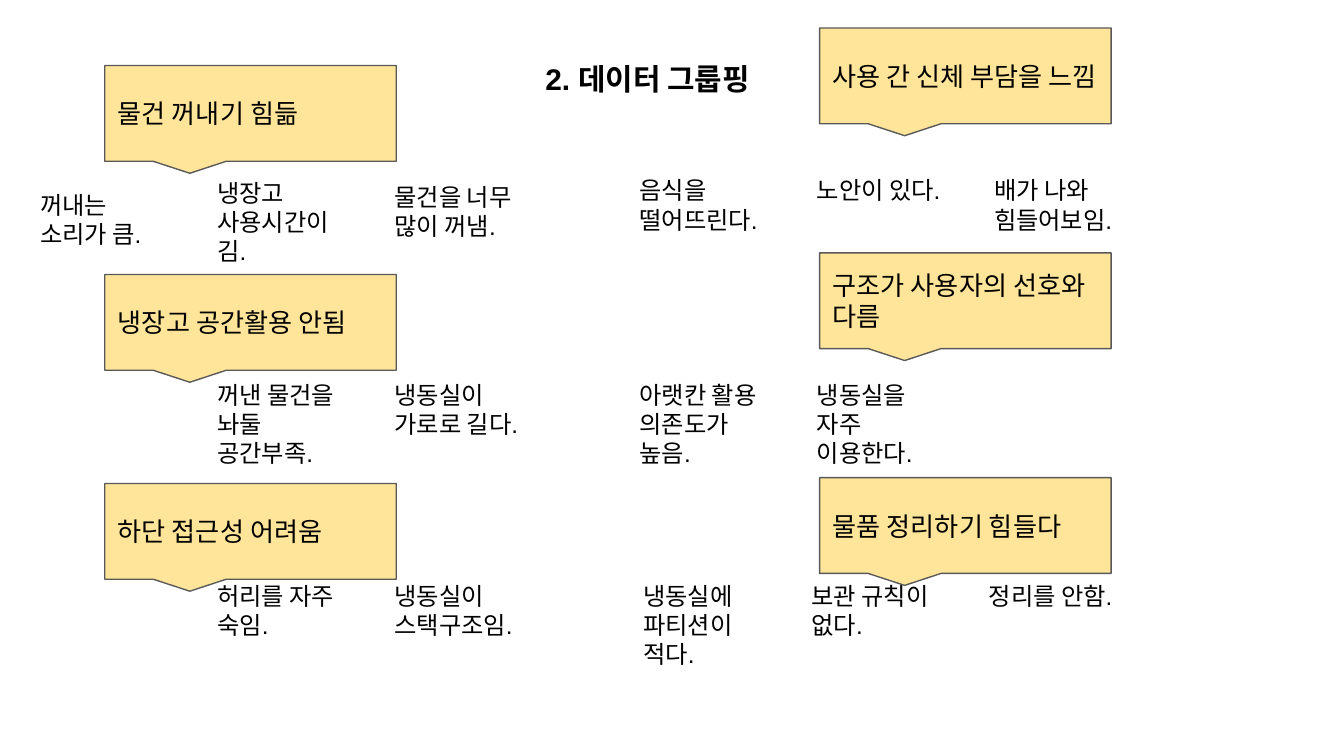
from dataclasses import dataclass

from pptx import Presentation
from pptx import util as u
from pptx.dml import color
from pptx.enum import shapes, text

FONT = "Arial"
BLACK = "000000"
COLUMN_STEP = 3.35
NOTE_WIDTH = 3.0
NOTE_HEIGHTS = {1: 1.63, 2: 1.63, 3: 2.18}
INSET = 0.25


@dataclass(frozen=True)
class Note:
    lines: tuple[str, ...]
    left: float
    top: float
    rows: int = 2


@dataclass(frozen=True)
class Heading:
    wording: str
    left: float
    top: float


def column(start: float, index: int) -> float:
    return start + COLUMN_STEP * index


LEFT, RIGHT, LAST_RIGHT = 0.51, 11.84, 11.91
MIDDLE_TOP, BOTTOM_TOP = 6.93, 10.74

NOTES = [
    Note(("꺼내는 소리가 큼.",), column(LEFT, 0), 3.35),
    Note(("냉장고 사용시간이 김.",), column(LEFT, 1), 3.12, 3),
    Note(("물건을 너무 많이 꺼냄.",), column(LEFT, 2), 3.2),
    Note(("음식을 떨어뜨린다.",), column(RIGHT, 0), 3.07),
    Note(("노안이 있다.",), column(RIGHT, 1), 3.07, 1),
    Note(("배가 나와", "힘들어보임."), column(RIGHT, 2), 3.07),
    Note(("꺼낸 물건을 놔둘 공간부족.",), column(LEFT, 1), MIDDLE_TOP, 3),
    Note(("냉동실이", "가로로 길다."), column(LEFT, 2), MIDDLE_TOP, 3),
    Note(("아랫칸 활용 의존도가 높음.",), column(RIGHT, 0), MIDDLE_TOP, 3),
    Note(("냉동실을", "자주 이용한다."), column(RIGHT, 1), MIDDLE_TOP, 3),
    Note(("허리를 자주 숙임.",), column(LEFT, 1), BOTTOM_TOP),
    Note(("냉동실이 스택구조임.",), column(LEFT, 2), BOTTOM_TOP),
    Note(("냉동실에 파티션이 적다.",), LAST_RIGHT, BOTTOM_TOP, 3),
    Note(("보관 규칙이 없다.",), 15.09, BOTTOM_TOP),
    Note(("정리를 안함.",), 18.44, BOTTOM_TOP, 1),
]

LEFT_HEADINGS = ["물건 꺼내기 힘듦", "냉장고 공간활용 안됨", "하단 접근성 어려움"]
RIGHT_HEADINGS = ["사용 간 신체 부담을 느낌", "구조가 사용자의 선호와 다름", "물품 정리하기 힘들다"]
HEADINGS = [
    Heading(wording, 1.98, 1.24 + 3.95 * row)
    for row, wording in enumerate(LEFT_HEADINGS)
] + [
    Heading(wording, 15.49, 0.53 + 4.25 * row)
    for row, wording in enumerate(RIGHT_HEADINGS)
]


def rgb(value: str) -> color.RGBColor:
    return color.RGBColor.from_string(value)


def write(shape, lines: tuple[str, ...], size: float, bold: bool = False,
          align=text.PP_ALIGN.LEFT, anchor=text.MSO_ANCHOR.TOP) -> None:
    frame = shape.text_frame
    frame.word_wrap = True
    frame.vertical_anchor = anchor
    frame.margin_left = frame.margin_right = u.Cm(INSET)
    frame.margin_top = frame.margin_bottom = u.Cm(INSET)
    for index, line in enumerate(lines):
        paragraph = frame.add_paragraph() if index else frame.paragraphs[0]
        paragraph.alignment = align
        run = paragraph.add_run()
        run.text = line
        run.font.name = FONT
        run.font.size = u.Pt(size)
        run.font.bold = bold
        run.font.color.rgb = rgb(BLACK)


def add_text(slide, left: float, top: float, width: float, height: float,
             lines: tuple[str, ...], size: float, **style) -> None:
    shape = slide.shapes.add_textbox(u.Cm(left), u.Cm(top), u.Cm(width), u.Cm(height))
    write(shape, lines, size, **style)
    shape.text_frame.auto_size = text.MSO_AUTO_SIZE.SHAPE_TO_FIT_TEXT


def add_note(slide, note: Note) -> None:
    add_text(slide, note.left, note.top, NOTE_WIDTH, NOTE_HEIGHTS[note.rows], note.lines, 13)


def add_heading(slide, heading: Heading) -> None:
    shape = slide.shapes.add_shape(
        shapes.MSO_SHAPE.ROUNDED_RECTANGULAR_CALLOUT,
        u.Cm(heading.left), u.Cm(heading.top), u.Cm(5.51), u.Cm(1.81))
    for index, value in enumerate((-0.208, 0.625, 0)):
        shape.adjustments[index] = value
    shape.shadow.inherit = False
    shape.fill.solid()
    shape.fill.fore_color.rgb = rgb("FFE599")
    shape.line.color.rgb = rgb("595959")
    shape.line.width = u.Pt(0.75)
    write(shape, (heading.wording,), 14, anchor=text.MSO_ANCHOR.MIDDLE)


def main() -> None:
    presentation = Presentation()
    presentation.slide_width = u.Cm(25.4)
    presentation.slide_height = u.Cm(14.29)
    slide = presentation.slides.add_slide(presentation.slide_layouts[6])
    for note in NOTES:
        add_note(slide, note)
    add_text(slide, 5.28, 0.89, 13.92, 1.19, ("2. 데이터 그룹핑",), 16,
             bold=True, align=text.PP_ALIGN.CENTER)
    for heading in HEADINGS:
        add_heading(slide, heading)
    presentation.save("out.pptx")


if __name__ == "__main__":
    main()
